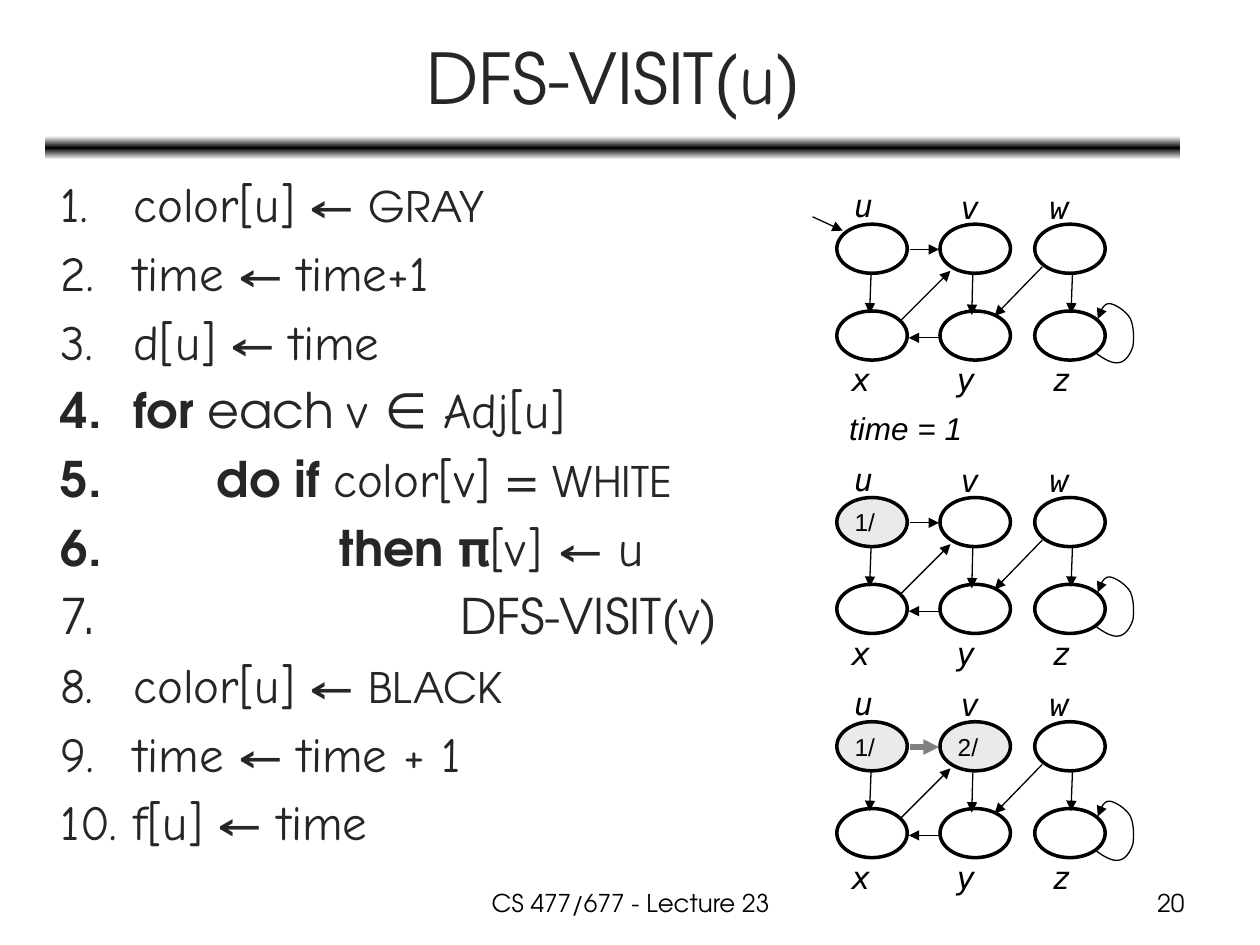
from copy import deepcopy
from dataclasses import dataclass

from lxml import etree
from pptx import Presentation
from pptx.dml.color import RGBColor
from pptx.enum.shapes import MSO_CONNECTOR, MSO_SHAPE
from pptx.enum.text import MSO_ANCHOR, MSO_AUTO_SIZE, PP_ALIGN
from pptx.oxml.ns import qn
from pptx.util import Cm, Pt

OVAL, ROUND = MSO_SHAPE.OVAL, MSO_SHAPE.ROUNDED_RECTANGLE
LEFT, CENTER, RIGHT = PP_ALIGN.LEFT, PP_ALIGN.CENTER, PP_ALIGN.RIGHT
MIDDLE, FIXED = MSO_ANCHOR.MIDDLE, MSO_AUTO_SIZE.NONE
STRAIGHT = MSO_CONNECTOR.STRAIGHT


@dataclass(frozen=True)
class Theme:
    ink = RGBColor(0x26, 0x26, 0x26)
    black = RGBColor(0, 0, 0)
    white = RGBColor(255, 255, 255)
    seen = RGBColor(0xEA, 0xEA, 0xEA)
    gray = RGBColor(0x80, 0x80, 0x80)
    head, code, caps, label, small = 40, 28, 24, 18, 14
    sans, hand = "TeX Gyre Adventor", "Comic Neue"
    mono, plain = "DejaVu Sans Mono", "Arial"
    thin, ring, thick = 0.75, 2, 3


class Deck:
    def __init__(self, theme):
        self.theme = theme
        self.file = Presentation()
        self.file.slide_width, self.file.slide_height = Cm(25.4), Cm(19.05)
        self.slide = self.file.slides.add_slide(self.file.slide_layouts[1])
        self.board = self.slide.shapes

    def group(self):
        self.board = self.slide.shapes.add_group_shape().shapes

    def ungroup(self):
        self.board = self.slide.shapes

    def font(self, run, size, name, color, bold=False, italic=False):
        font = run.font
        font.size, font.name, font.bold, font.italic = Pt(size), name, bold, italic
        font.color.rgb = color

    def runs(self, para, parts, size):
        """Parts are (text, style): h hand, s sans, b bold sans, c small capitals."""
        t = self.theme
        for text, style in parts:
            run = para.add_run()
            run.text = text
            self.font(run, t.caps if style == "c" else size,
                      t.hand if style == "h" else t.sans, t.ink, style == "b")

    def place(self, holder, x, y, w, h):
        holder.left, holder.top, holder.width, holder.height = map(Cm, (x, y, w, h))
        holder.text_frame.auto_size = FIXED
        return holder.text_frame

    def title(self, parts, *box):
        frame = self.place(self.slide.shapes.title, *box)
        frame.vertical_anchor = MIDDLE
        frame.paragraphs[0].alignment = CENTER
        self.runs(frame.paragraphs[0], parts, self.theme.head)

    def steps(self, rows, *box):
        frame = self.place(self.slide.placeholders[1], *box)
        frame.vertical_anchor = MSO_ANCHOR.TOP
        for i, (inset, parts) in enumerate(rows):
            para = frame.paragraphs[0] if i == 0 else frame.add_paragraph()
            props = para._p.get_or_add_pPr()
            props.set("marL", str(Cm(inset)))
            props.set("indent", str(-Cm(inset)))
            etree.SubElement(props, qn("a:buAutoNum")).set("type", "arabicPeriod")
            self.runs(para, parts, self.theme.code)

    def text(self, words, x, y, w, h, size, name, align=LEFT, italic=False, wrap=True):
        frame = self.board.add_textbox(Cm(x), Cm(y), Cm(w), Cm(h)).text_frame
        frame.word_wrap = wrap
        frame.text = words
        para = frame.paragraphs[0]
        para.alignment = align
        self.font(para.runs[0], size, name, self.theme.black, italic=italic)

    def bar(self, x, y, w, h):
        t = self.theme
        bar = self.board.add_shape(ROUND, Cm(x), Cm(y), Cm(w), Cm(h))
        bar.shadow.inherit = False
        bar.line.fill.background()
        bar.fill.gradient()
        bar.fill.gradient_angle = 90
        stops = next(bar._element.spPr.iter(qn("a:gsLst")))
        stops.insert(1, deepcopy(stops[0]))
        colors = (t.white, t.black, t.white)
        for stop, spot, color in zip(bar.fill.gradient_stops, (0, 0.5, 1), colors):
            stop.position, stop.color.rgb = spot, color

    def node(self, x, y, w, h, words=None):
        t = self.theme
        node = self.board.add_shape(OVAL, Cm(x), Cm(y), Cm(w), Cm(h))
        node.shadow.inherit = False
        node.line.color.rgb, node.line.width = t.black, Pt(t.ring)
        if not words:
            node.fill.background()
            return
        node.fill.solid()
        node.fill.fore_color.rgb = t.seen
        frame = node.text_frame
        frame.margin_left = Cm(0.15)
        frame.margin_right = frame.margin_top = frame.margin_bottom = 0
        frame.vertical_anchor = MIDDLE
        frame.text = words
        frame.paragraphs[0].alignment = LEFT
        self.font(frame.paragraphs[0].runs[0], t.small, t.plain, t.black)

    def tip(self, line, color, width):
        line.color.rgb, line.width = color, Pt(width)
        etree.SubElement(line._get_or_add_ln(), qn("a:tailEnd")).set("type", "triangle")

    def arrow(self, x1, y1, x2, y2, bold=False):
        t = self.theme
        arrow = self.board.add_connector(STRAIGHT, Cm(x1), Cm(y1), Cm(x2), Cm(y2))
        self.tip(arrow.line, t.gray if bold else t.black, t.thick if bold else t.thin)
        etree.SubElement(arrow._element.spPr, qn("a:effectLst"))

    def curve(self, knots, cuts=8):
        """Draws joined cubic curves: a start, then three points for each."""
        dots = [knots[0]]
        for k in range(0, len(knots) - 1, 3):
            for step in range(1, cuts + 1):
                s = step / cuts
                mix = ((1 - s) ** 3, 3 * s * (1 - s) ** 2, 3 * s * s * (1 - s), s ** 3)
                dots.append([sum(m * p[axis] for m, p in zip(mix, knots[k:k + 4]))
                             for axis in (0, 1)])
        dots = [(Cm(x), Cm(y)) for x, y in dots]
        pen = self.board.build_freeform(*dots[0])
        pen.add_line_segments(dots[1:], close=False)
        curve = pen.convert_to_shape()
        curve.shadow.inherit = False
        curve.fill.background()
        self.tip(curve.line, self.theme.black, self.theme.thin)


theme = Theme()
deck = Deck(theme)

# Heading and rule
deck.bar(0.91, 2.74, 22.89, 0.48)
deck.title([("DFS-VISIT(", "s"), ("u", "h"), (")", "s")], 0.94, 0.28, 22.86, 2.51)

# Numbered steps: text inset and styled parts
BASE, GETS = 1.47, (" ← ", "s")
deck.steps([
    (BASE, [("color[u]", "h"), GETS, ("GRAY", "c")]),
    (BASE, [("time", "h"), GETS, ("time+1", "h")]),
    (BASE, [("d[u]", "h"), GETS, ("time", "h")]),
    (BASE, [("for ", "b"), ("each ", "s"), ("v ∈ Adj[u]", "h")]),
    (3.15, [("do if ", "b"), ("color[v]", "h"), (" = ", "s"), ("WHITE", "c")]),
    (5.61, [("then ", "b"), ("𝛑[v] ", "h"), ("← ", "s"), ("u", "h")]),
    (8.05, [("DFS-VISIT(", "s"), ("v", "h"), (")", "s")]),
    (BASE, [("color[u]", "h"), GETS, ("BLACK", "c")]),
    (BASE, [("time", "h"), GETS, ("time + 1", "h")]),
    (BASE, [("f[u]", "h"), GETS, ("time", "h")]),
], 0.97, 3.38, 22.86, 14.86)

# Graph plan, measured from the corner of node u
EDGE, COLS, ROWS = 16.87, (0, 2.08, 3.99), (0, 1.75)
NAMES = {"u": (0.1, -0.89), "v": (2.24, -0.86), "w": (4.04, -0.86),
         "x": (0.05, 2.62), "y": (2.16, 2.62), "z": (4.09, 2.62)}
LINKS = {"uv": (1.47, 0.51, 2.06, 0.51), "ux": (0.69, 0.99, 0.66, 1.8),
         "vy": (2.74, 1.02, 2.72, 1.83), "wz": (4.75, 0.99, 4.72, 1.8),
         "yx": (2.06, 2.29, 1.45, 2.29), "wy": (4.14, 0.86, 3.18, 1.85),
         "xv": (1.3, 1.93, 2.29, 0.94)}
LOOP = [(5.21, 2.59), (5.38, 2.72), (5.56, 2.82), (5.69, 2.79),
        (5.82, 2.77), (5.92, 2.62), (5.97, 2.46), (5.99, 2.31),
        (5.99, 2.06), (5.92, 1.91), (5.84, 1.75), (5.59, 1.6),
        (5.49, 1.6), (5.38, 1.6), (5.31, 1.75), (5.26, 1.91)]


def graph(top, marks, bold=None):
    deck.group()
    for i, (name, (x, y)) in enumerate(NAMES.items()):
        deck.node(EDGE + COLS[i % 3], top + ROWS[i // 3], 1.42, 0.99, marks.get(name))
        deck.text(name, EDGE + x, top + y, 0.94 if name == "w" else 0.8, 1.02,
                  theme.label, theme.mono, italic=True, wrap=False)
    for link, (x1, y1, x2, y2) in LINKS.items():
        deck.arrow(EDGE + x1, top + y1, EDGE + x2, top + y2, link == bold)
    deck.curve([(EDGE + x, top + y) for x, y in LOOP])
    deck.ungroup()


# Three stages of the search
graph(4.52, {})
graph(10.03, {"u": "1/"})
graph(14.55, {"u": "1/", "v": "2/"}, "uv")
deck.arrow(16.38, 4.37, 16.99, 4.65)
deck.text("time = 1", EDGE, 8.13, 2.79, 1.02, theme.label, theme.plain,
          italic=True, wrap=False)

# Footer
deck.text("CS 477/677 - Lecture 23", 8.69, 17.78, 8.05, 0.89, theme.small, theme.sans, CENTER)
deck.text("20", 18.21, 17.78, 5.92, 0.89, theme.small, theme.sans, RIGHT)

deck.file.save("out.pptx")
